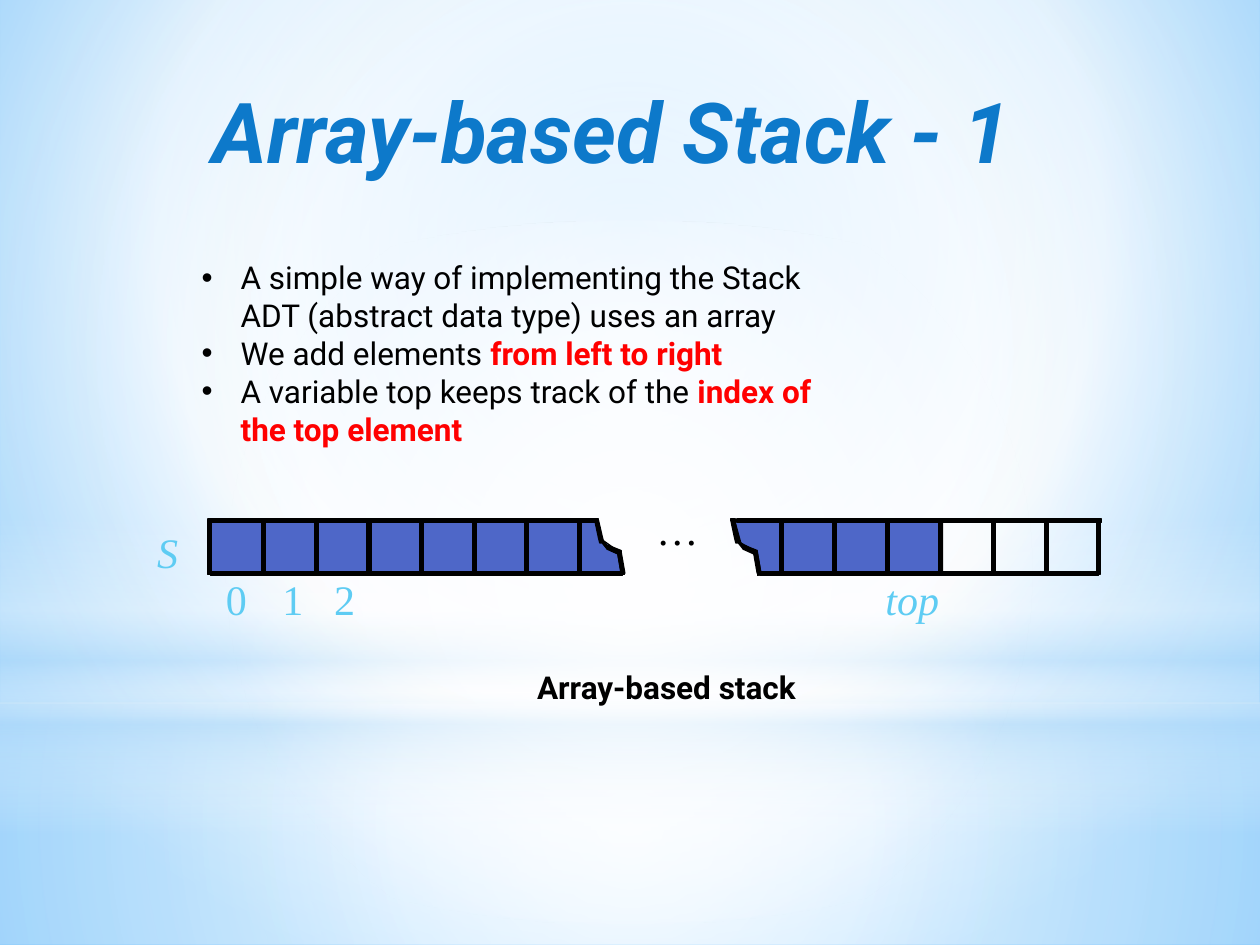
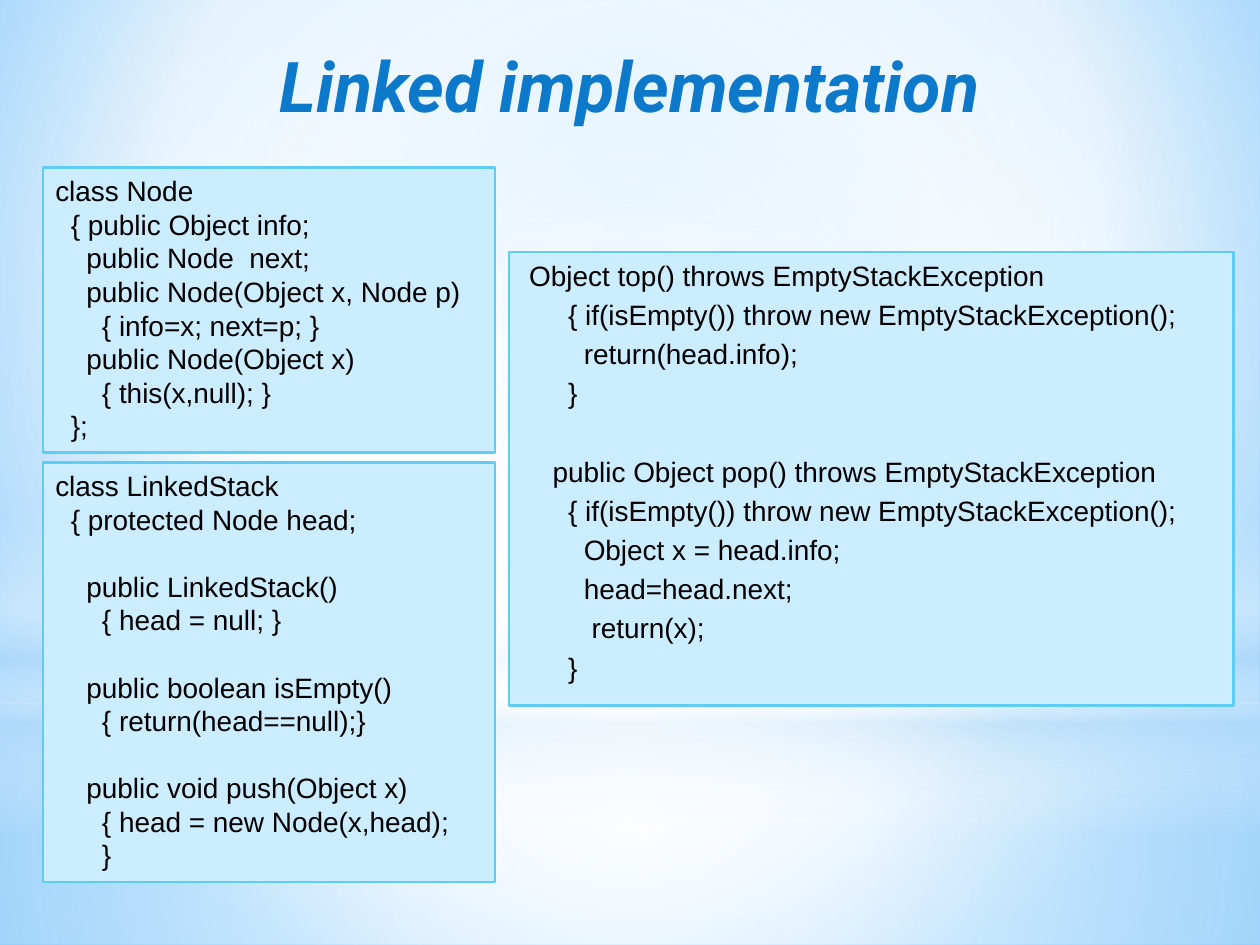
from lxml import etree
from pptx import Presentation
from pptx import util as u
from pptx.dml.color import RGBColor
from pptx.enum import shapes, text
from pptx.oxml import ns

BLUE, SKY, PALE, CELL = "0D79CA", "5ECCF3", "CCECFF", "4E67C8"
BLACK, RED, WHITE, HAZE = "000000", "FF0000", "FFFFFF", "B4DCFA"

BACKGROUND = [(0, "9ED5FF", 100), (60, WHITE, 100), (100, "5BB9FF", 100)]
CENTRE = (50, 50, 50, 50)
BANDS = [
    ("RECTANGLE", (0, 5.58, 10, 1.92), CENTRE,
     [(0, WHITE, 91), (37, WHITE, 76), (100, HAZE, 79)]),
    ("RECTANGLE", (0, 0, 10, 5.58), CENTRE,
     [(0, WHITE, 89), (48, WHITE, 62), (100, HAZE, 79)]),
    ("RECTANGLE", (0, 4.12, 10, 2.5), None,
     [(0, WHITE, 0), (29, WHITE, 30), (45, HAZE, 40),
      (55, WHITE, 26), (65, HAZE, 60), (100, WHITE, 0)]),
    ("OVAL", (0, 1.75, 10, 5.58), CENTRE, [(0, WHITE, 100), (56, WHITE, 0)]),
]

BULLETS = [
    [("A simple way of implementing the Stack ADT (abstract data type) uses an array", False)],
    [("We add elements ", False), ("from left to right", True)],
    [("A variable top keeps track of the ", False), ("index of the top element", True)],
]

BAR = 0.03
FILLED_CELLS = [
    [(7.48, 4.55), (7.48, 4.13), (5.83, 4.13), (5.88, 4.31), (6.01, 4.38), (6.04, 4.55)],
    [(1.67, 4.13), (1.67, 4.55), (4.93, 4.55), (4.9, 4.37), (4.76, 4.27), (4.73, 4.13)],
]
BORDERS = [
    (1.65, 4.12, 3.08, BAR), (4.73, 4.12, 0.01, BAR), (1.65, 4.13, BAR, 0.43),
    (1.67, 4.54, 3.26, BAR), (4.93, 4.54, 0.01, BAR),
    (5.83, 4.12, 0.01, BAR), (5.85, 4.12, 2.89, BAR), (8.7, 4.13, BAR, 0.43),
    (6.01, 4.54, 0.01, BAR), (6.03, 4.54, 2.69, BAR),
]
DIVIDERS = [2.08 + 0.417 * i for i in range(7)] + [6.19 + 0.42 * i for i in range(6)]
DIVIDER_PARTS = [(4.12, 0.01), (4.55, 0.01), (4.13, 0.41)]
TORN_EDGE = [
    [(4.75, 4.13), (4.78, 4.26), (4.79, 4.3), (4.83, 4.34), (4.82, 4.36),
     (4.78, 4.31), (4.76, 4.31), (4.75, 4.27), (4.72, 4.13)],
    [(4.83, 4.33), (4.93, 4.37), (4.93, 4.38), (4.9, 4.38), (4.91, 4.4), (4.82, 4.36)],
    [(4.93, 4.38), (4.9, 4.38), (4.93, 4.55), (4.96, 4.55)],
]
TORN_ENDS = [(4.72, 4.12), (4.93, 4.55)]
TORN_SHIFTS = (0, 1.08)
LABELS = [
    ("S", 1.17, 4.18, 0.32, SKY, True),
    ("0", 1.79, 4.55, 0.17, SKY, False),
    ("1", 2.24, 4.55, 0.17, SKY, False),
    ("2", 2.65, 4.55, 0.17, SKY, False),
    ("top", 6.92, 4.55, 0.64, SKY, True),
    ("…", 5.21, 4, 0.33, BLACK, False),
]

NODE_CODE = """class Node
  { public Object info;
    public Node  next;
    public Node(Object x, Node p)
      { info=x; next=p; }
    public Node(Object x)
      { this(x,null); }
  };"""
STACK_CODE = """class LinkedStack
  { protected Node head;

    public LinkedStack()
      { head = null; }

    public boolean isEmpty()
      { return(head==null);}

    public void push(Object x)
      { head = new Node(x,head);
      }"""
METHODS_CODE = """ Object top() throws EmptyStackException
      { if(isEmpty()) throw new EmptyStackException();
        return(head.info);
      }

    public Object pop() throws EmptyStackException
      { if(isEmpty()) throw new EmptyStackException();
        Object x = head.info;
        head=head.next;
         return(x);
      }"""
LISTINGS = [
    (NODE_CODE, (0.34, 1.33, 3.59, 2.26), 0),
    (STACK_CODE, (0.34, 3.67, 3.59, 3.33), 0),
    (METHODS_CODE, (4.04, 2, 5.75, 3.6), 3.2),
]
CODE_LINE, CODE_SPACE = 19.2, 4.45


def colour(value):
    return RGBColor.from_string(value)


def inches(values):
    return [u.Inches(value) for value in values]


def style(span, size, font, value, bold=False, italic=False):
    span.font.size, span.font.name = u.Pt(size), font
    span.font.bold, span.font.italic = bold, italic
    span.font.color.rgb = colour(value)


def paint(shape, fill, line, width):
    shape.shadow.inherit = False
    shape.fill.solid()
    shape.fill.fore_color.rgb = colour(fill)
    shape.line.color.rgb = colour(line)
    shape.line.width = u.Pt(width)


def use_gradient(properties, stops, focus):
    solid = properties.find(ns.qn("a:solidFill"))
    gradient = etree.Element(ns.qn("a:gradFill"), rotWithShape="1")
    stop_list = etree.SubElement(gradient, ns.qn("a:gsLst"))
    for position, value, opacity in stops:
        stop = etree.SubElement(stop_list, ns.qn("a:gs"), pos=str(position * 1000))
        tint = etree.SubElement(stop, ns.qn("a:srgbClr"), val=value)
        etree.SubElement(tint, ns.qn("a:alpha"), val=str(opacity * 1000))
    if focus:
        shade = etree.SubElement(gradient, ns.qn("a:path"))
        shade.set("path", "circle")
        sides = {side: str(value * 1000) for side, value in zip("ltrb", focus)}
        etree.SubElement(shade, ns.qn("a:fillToRect"), **sides)
    else:
        etree.SubElement(gradient, ns.qn("a:lin"), ang="5400000", scaled="0")
    properties.replace(solid, gradient)


def decorate_master(deck, page):
    master = deck.slide_master
    master.background.fill.solid()
    use_gradient(master.element.find(".//" + ns.qn("p:bgPr")), BACKGROUND, (20, 10, 20, 60))
    for order, (kind, place, focus, stops) in enumerate(BANDS):
        band = page.shapes.add_shape(getattr(shapes.MSO_SHAPE, kind), *inches(place))
        band.shadow.inherit = False
        band.fill.solid()
        band.line.fill.background()
        use_gradient(band.element.spPr, stops, focus)
        master.shapes.element.insert(2 + order, band.element)


def move(box, place):
    box.left, box.top, box.width, box.height = inches(place)


def add_title(page, words, place, size, align):
    title = page.shapes.title
    move(title, place)
    frame = title.text_frame
    frame.text = words
    frame.auto_size = text.MSO_AUTO_SIZE.NONE
    frame.vertical_anchor = text.MSO_ANCHOR.TOP
    frame.paragraphs[0].alignment = align
    style(frame.paragraphs[0].runs[0], size, "Roboto", BLUE, True, True)


def add_bullets(page):
    body = page.placeholders[1]
    move(body, (1.5, 2, 5.42, 1.62))
    frame = body.text_frame
    frame.auto_size = text.MSO_AUTO_SIZE.NONE
    for i, parts in enumerate(BULLETS):
        para = frame.add_paragraph() if i else frame.paragraphs[0]
        para.space_before = u.Pt(0)
        properties = para._p.get_or_add_pPr()
        properties.set("marL", str(u.Inches(0.31)))
        properties.set("indent", str(-u.Inches(0.31)))
        etree.SubElement(properties, ns.qn("a:buFont"), typeface="Arial")
        etree.SubElement(properties, ns.qn("a:buChar"), char="•")
        for words, marked in parts:
            span = para.add_run()
            span.text = words
            style(span, 18, "Roboto", RED if marked else BLACK, marked)


def add_label(page, words, place, size, font, value, bold=False, italic=False, inset=0):
    box = page.shapes.add_textbox(*inches(place))
    frame = box.text_frame
    frame.text = words
    frame.word_wrap = False
    frame.margin_left = frame.margin_right = u.Inches(inset)
    frame.margin_top = frame.margin_bottom = u.Inches(inset / 2)
    para = frame.paragraphs[0]
    para.alignment = text.PP_ALIGN.CENTER
    style(para.runs[0], size, font, value, bold, italic)


def add_piece(page, points, fill):
    corners = [inches(point) for point in points]
    builder = page.shapes.build_freeform(*corners[0])
    builder.add_line_segments(corners[1:], close=True)
    paint(builder.convert_to_shape(), fill, BLACK, 0.75)


def add_bar(page, place):
    bar = page.shapes.add_shape(shapes.MSO_SHAPE.RECTANGLE, *inches(place))
    paint(bar, BLACK, BLACK, 0.75)


def add_array(page):
    for points in FILLED_CELLS:
        add_piece(page, points, CELL)
    for place in BORDERS:
        add_bar(page, place)
    for x in DIVIDERS:
        for top, height in DIVIDER_PARTS:
            add_bar(page, (x, top, BAR, height))
    for words, left, top, width, value, italic in LABELS:
        add_label(page, words, (left, top, width, 0.4), 24, "Times New Roman", value, italic=italic)
    for shift in TORN_SHIFTS:
        for x, y in TORN_ENDS:
            add_bar(page, (x + shift, y, BAR, 0.01))
        for points in TORN_EDGE:
            add_piece(page, [(x + shift, y) for x, y in points], BLACK)


def add_listing(page, code, place, gap):
    box = page.shapes.add_shape(shapes.MSO_SHAPE.RECTANGLE, *inches(place))
    paint(box, PALE, SKY, 1.5)
    frame = box.text_frame
    frame.word_wrap = True
    frame.vertical_anchor = text.MSO_ANCHOR.TOP
    para, before = frame.paragraphs[0], gap
    for i, line in enumerate(code.splitlines()):
        if not line:
            before += CODE_LINE + gap
            continue
        if i:
            para = frame.add_paragraph()
        words = line.lstrip()
        para.text = words
        para.alignment = text.PP_ALIGN.LEFT
        para.space_before = u.Pt(before)
        indent = u.Pt(CODE_SPACE * (len(line) - len(words)))
        para._p.get_or_add_pPr().set("marL", str(indent))
        style(para.runs[0], 16, "Arial", BLACK)
        before = gap


def main():
    deck = Presentation()
    deck.slide_width, deck.slide_height = inches((10, 7.5))

    page = deck.slides.add_slide(deck.slide_layouts[1])
    decorate_master(deck, page)
    add_title(page, "Array-based Stack - 1", (1, 0.58, 7.12, 1.25), 48, text.PP_ALIGN.RIGHT)
    add_bullets(page)
    add_array(page)
    add_label(page, "Array-based stack", (4.14, 5.25, 2.3, 0.4), 18, "Roboto", BLACK,
              bold=True, inset=0.1)

    page = deck.slides.add_slide(deck.slide_layouts[5])
    add_title(page, "Linked implementation", (0.41, 0.29, 9.17, 1.25), 40, text.PP_ALIGN.CENTER)
    for code, place, gap in LISTINGS:
        add_listing(page, code, place, gap)

    deck.save("out.pptx")


if __name__ == "__main__":
    main()
